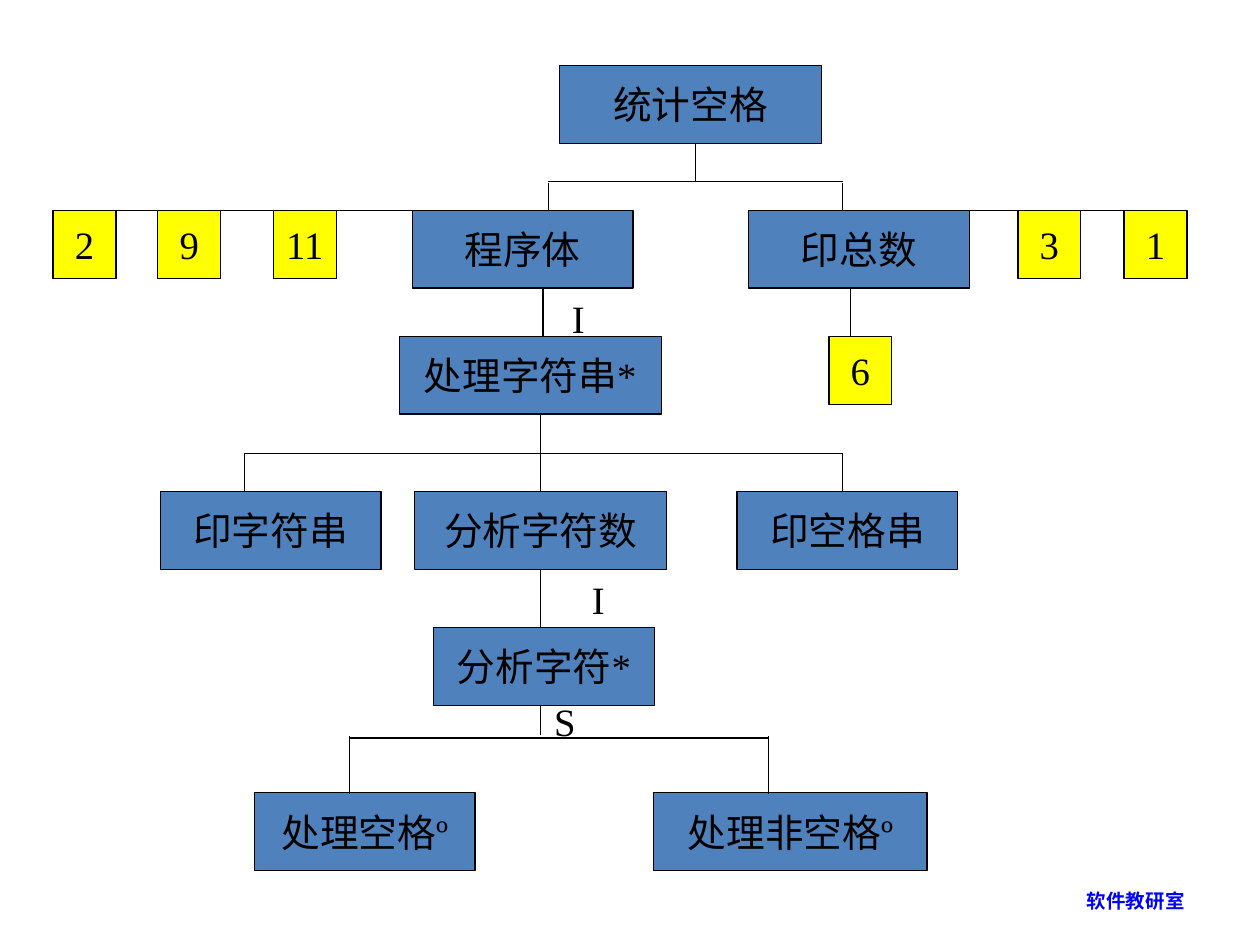
from dataclasses import dataclass

from lxml.etree import SubElement
from pptx import Presentation
from pptx.dml.color import RGBColor
from pptx.enum.shapes import MSO_CONNECTOR as Link, MSO_SHAPE as Shape
from pptx.enum.text import MSO_ANCHOR as Anchor, PP_ALIGN as Align
from pptx.oxml.ns import qn
from pptx.util import Cm, Pt

BLUE, YELLOW, BLACK = "4F81BD", "FFFF00", "000000"
ROWS = [1.32, 4.24, 6.78, 9.91, 12.65, 15.98]  # box tops in cm
HIGH = 1.57
BODY = {"name": "Times New Roman", "size": Pt(22.1)}
FOOT = {"name": "Calibri", "size": Pt(11.1), "bold": True}


@dataclass
class Box:
    text: str
    row: int
    left: float
    wide: float = 4.45
    high: float = HIGH
    fill: str = BLUE


@dataclass
class Line:
    x1: float
    y1: float
    x2: float
    y2: float
    start: str = ""  # text of the box joined at its bottom
    end: str = ""    # text of the box joined at its top


@dataclass
class Label:
    text: str
    left: float
    top: float
    wide: float
    high: float = 1.19


def op(num: str, left: float, row: int = 1) -> Box:
    """Small yellow box that holds an operation number."""
    return Box(num, row, left, 1.27, 1.37, YELLOW)


def drop(x: float, top: float, foot: float, **ends: str) -> Line:
    return Line(x, top, x, foot, **ends)


def bar(y: float, left: float, right: float) -> Line:
    return Line(left, y, right, y)


BOXES = [
    Box("统计空格", 0, 11.28, 5.28),
    Box("程序体", 1, 8.31),
    Box("印总数", 1, 15.09),
    Box("处理字符串*", 2, 8.05, 5.28),
    Box("印字符串", 3, 3.23),
    Box("分析字符数", 3, 8.36, 5.08),
    Box("印空格串", 3, 14.86),
    Box("分析字符*", 4, 8.74),
    Box("处理空格º", 5, 5.13),
    Box("处理非空格º", 5, 13.18, 5.51),
    op("2", 1.07), op("9", 3.18), op("11", 5.51),
    op("3", 20.52), op("1", 22.66), op("6", 16.71, 2),
]
FEET = [top + HIGH for top in ROWS]
LINES = [
    drop(14.02, FEET[0], 3.66),
    bar(3.66, 11.05, 16.99),
    *(drop(x, 3.68, ROWS[1]) for x in (11.05, 16.99)),
    bar(ROWS[1], 1.7, 8.46),
    bar(ROWS[1], 18.85, 23.7),
    *(drop(x, FEET[1], ROWS[2]) for x in (10.95, 17.15)),
    drop(10.9, FEET[2], 9.14),
    bar(9.14, 4.93, 16.99),
    *(drop(x, 9.14, ROWS[3]) for x in (4.93, 16.99)),
    drop(10.9, 9.14, ROWS[3], end="分析字符数"),
    drop(10.9, FEET[3], ROWS[4], start="分析字符数"),
    drop(10.9, FEET[4], 14.81),
    bar(14.88, 7.04, 15.49),
    *(drop(x, 14.84, 16) for x in (7.04, 15.49)),
]
LABELS = [
    Label("I", 11.28, 5.82, 0.76),
    Label("I", 11.68, 11.48, 0.76),
    Label("S", 10.92, 13.94, 0.94),
]


def tint(code: str) -> RGBColor:
    return RGBColor.from_string(code)


def write(shape, text: str, look: dict, align, color: str = BLACK,
          wrap: bool = False) -> None:
    frame = shape.text_frame
    frame.word_wrap = wrap
    para = frame.paragraphs[0]
    para.alignment = align
    run = para.add_run()
    run.text = text
    for key, val in look.items():
        setattr(run.font, key, val)
    run.font.color.rgb = tint(color)


def stroke(shape) -> None:
    shape.line.color.rgb = tint(BLACK)
    shape.line.width = Pt(0.75)


def draw_box(slide, box: Box):
    shape = slide.shapes.add_shape(
        Shape.RECTANGLE, Cm(box.left), Cm(ROWS[box.row]), Cm(box.wide), Cm(box.high))
    shape.shadow.inherit = False
    shape.fill.solid()
    shape.fill.fore_color.rgb = tint(box.fill)
    stroke(shape)
    shape.text_frame.vertical_anchor = Anchor.MIDDLE
    write(shape, box.text, BODY, Align.CENTER)
    return shape


def draw_line(slide, line: Line, drawn: dict) -> None:
    link = slide.shapes.add_connector(
        Link.STRAIGHT, Cm(line.x1), Cm(line.y1), Cm(line.x2), Cm(line.y2))
    stroke(link)
    SubElement(link._element.spPr, qn("a:effectLst"))
    if line.start:
        link.begin_connect(drawn[line.start], 2)
    if line.end:
        link.end_connect(drawn[line.end], 0)


def draw_label(slide, label: Label):
    return slide.shapes.add_textbox(
        Cm(label.left), Cm(label.top), Cm(label.wide), Cm(label.high))


def main() -> None:
    deck = Presentation()
    deck.slide_width, deck.slide_height = Cm(25.4), Cm(19.05)
    slide = deck.slides.add_slide(deck.slide_layouts[6])
    drawn = {box.text: draw_box(slide, box) for box in BOXES}
    for line in LINES:
        draw_line(slide, line, drawn)
    for label in LABELS:
        write(draw_label(slide, label), label.text, BODY, Align.LEFT)
    foot = Label("软件教研室", 18.21, 17.65, 5.92, 1.02)
    shape = draw_label(slide, foot)
    shape.text_frame.vertical_anchor = Anchor.MIDDLE
    write(shape, foot.text, FOOT, Align.RIGHT, "0000FF", wrap=True)
    deck.save("out.pptx")


if __name__ == "__main__":
    main()
